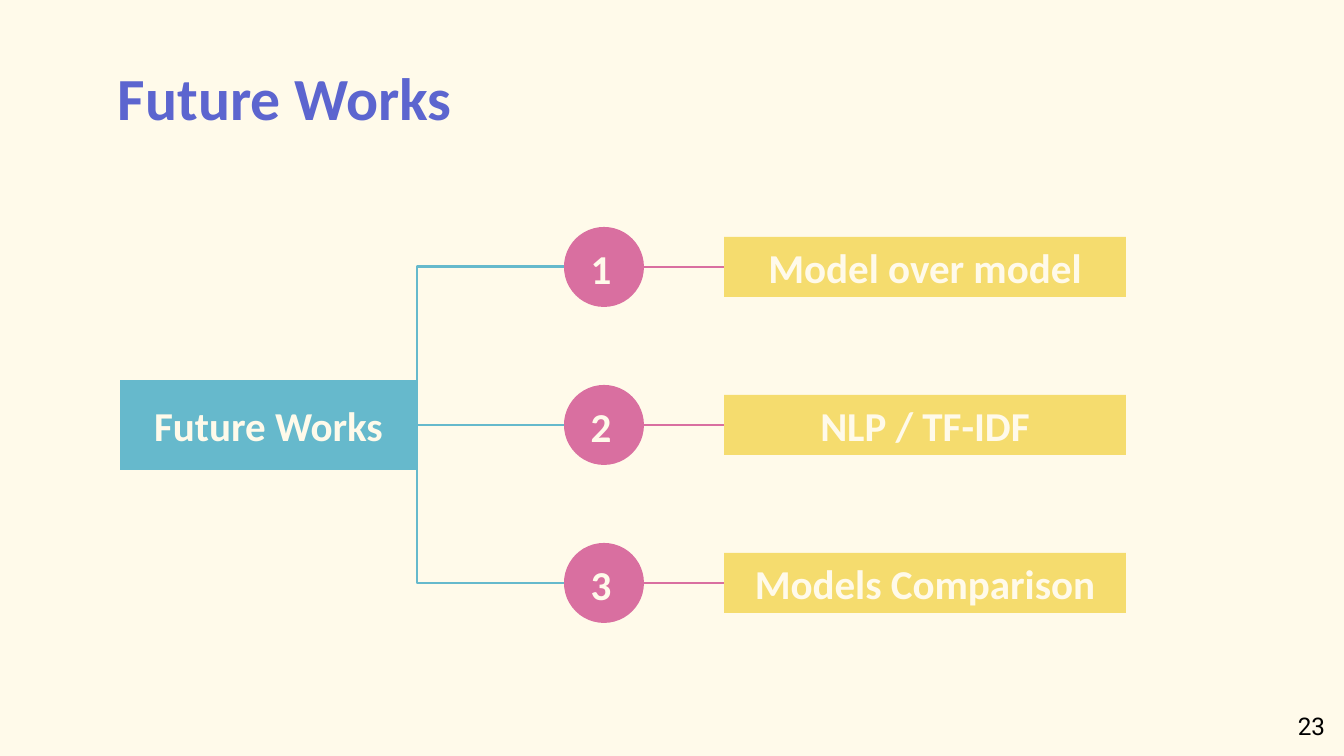
from dataclasses import dataclass

from lxml import etree
from pptx import Presentation
from pptx.dml.color import RGBColor
from pptx.enum.shapes import MSO_CONNECTOR, MSO_SHAPE
from pptx.enum.text import MSO_ANCHOR, MSO_AUTO_SIZE, PP_ALIGN
from pptx.oxml.ns import qn
from pptx.util import Emu, Pt

RECTANGLE, OVAL = MSO_SHAPE.RECTANGLE, MSO_SHAPE.OVAL
STRAIGHT, ELBOW = MSO_CONNECTOR.STRAIGHT, MSO_CONNECTOR.ELBOW
TOP, MIDDLE = MSO_ANCHOR.TOP, MSO_ANCHOR.MIDDLE
LEFT, CENTER, RIGHT = PP_ALIGN.LEFT, PP_ALIGN.CENTER, PP_ALIGN.RIGHT
NO_AUTOFIT = MSO_AUTO_SIZE.NONE
PX_PER_INCH = 134.4
TITLE_ONLY = 5


def px(length):
    return Emu(round(length * 914400 / PX_PER_INCH))


@dataclass(frozen=True)
class Theme:
    cream: str = "FFFAEA"
    indigo: str = "5C65CF"
    teal: str = "66B9CC"
    pink: str = "D96FA0"
    yellow: str = "F5DC6E"
    black: str = "000000"
    body_font: str = "Calibri"
    number_font: str = "Roboto"
    title_size: int = 32
    label_size: int = 22
    number_size: int = 13
    line_width: float = 1.5
    inset: int = 13


class SlideBuilder:
    def __init__(self, slide, theme):
        self.slide = slide
        self.theme = theme
        fill = slide.background.fill
        fill.solid()
        fill.fore_color.rgb = RGBColor.from_string(theme.cream)

    def set_text(self, shape, text, size, color, align, anchor, font=None, bold=True):
        frame = shape.text_frame
        frame.word_wrap = True
        frame.auto_size = NO_AUTOFIT
        frame.vertical_anchor = anchor
        inset = px(self.theme.inset)
        frame.margin_left = frame.margin_right = inset
        frame.margin_top = frame.margin_bottom = inset
        frame.text = text
        paragraph = frame.paragraphs[0]
        paragraph.alignment = align
        paragraph.font.name = font or self.theme.body_font
        paragraph.font.size = Pt(size)
        paragraph.font.bold = bold
        paragraph.font.color.rgb = RGBColor.from_string(color)

    def title(self, text, left, top, width, height):
        heading = self.slide.shapes.title
        heading.left, heading.top = px(left), px(top)
        heading.width, heading.height = px(width), px(height)
        self.set_text(heading, text, self.theme.title_size, self.theme.indigo,
                      LEFT, TOP)

    def block(self, preset, left, top, width, height, color, text=None):
        block = self.slide.shapes.add_shape(
            preset, px(left), px(top), px(width), px(height))
        block.shadow.inherit = False
        block.fill.solid()
        block.fill.fore_color.rgb = RGBColor.from_string(color)
        block.line.fill.background()
        if text:
            self.set_text(block, text, self.theme.label_size, self.theme.cream,
                          CENTER, MIDDLE)

    def text(self, text, left, top, width, height, size, color, align, **style):
        box = self.slide.shapes.add_textbox(
            px(left), px(top), px(width), px(height))
        self.set_text(box, text, size, color, align, TOP, **style)

    def link(self, start_x, start_y, end_x, end_y, color):
        kind = STRAIGHT if start_y == end_y else ELBOW
        link = self.slide.shapes.add_connector(
            kind, px(start_x), px(start_y), px(end_x), px(end_y))
        link.line.color.rgb = RGBColor.from_string(color)
        link.line.width = Pt(self.theme.line_width)
        properties = link._element.spPr
        etree.SubElement(properties, qn("a:effectLst"))
        if kind == ELBOW:
            guides = properties.find(qn("a:prstGeom")).find(qn("a:avLst"))
            etree.SubElement(guides, qn("a:gd"), name="adj1", fmla="val 0")


def main():
    theme = Theme()
    deck = Presentation()
    deck.slide_width, deck.slide_height = px(1344), px(756)
    slide = deck.slides.add_slide(deck.slide_layouts[TITLE_ONLY])
    builder = SlideBuilder(slide, theme)
    builder.title("Future Works", 105, 48, 622, 114)

    root_left, root_width, root_height = 120, 297, 90
    circle_left, circle_size = 564, 80
    topic_left, topic_width, topic_height = 724, 402, 60
    number_left, number_size = 571, 60
    root_right = root_left + root_width
    circle_right = circle_left + circle_size
    first_y, pitch = 267, 158
    root_y = first_y + pitch

    topics = ["Model over model", "NLP / TF-IDF", "Models Comparison"]
    for index, topic in enumerate(topics):
        y = first_y + index * pitch
        builder.block(RECTANGLE, topic_left, y - topic_height // 2,
                      topic_width, topic_height, theme.yellow, topic)
        builder.block(OVAL, circle_left, y - circle_size // 2,
                      circle_size, circle_size, theme.pink)
        builder.link(root_right, root_y, circle_left, y, theme.teal)
        builder.link(circle_right, y, topic_left, y, theme.pink)
        builder.text(str(index + 1), number_left, y - 37, number_size, number_size,
                     theme.label_size, theme.cream, CENTER)

    builder.block(RECTANGLE, root_left, root_y - root_height // 2,
                  root_width, root_height, theme.teal, "Future Works")
    builder.text("23", 1258, 698, 80, 58, theme.number_size, theme.black, RIGHT,
                 font=theme.number_font, bold=False)
    deck.save("out.pptx")


if __name__ == "__main__":
    main()
